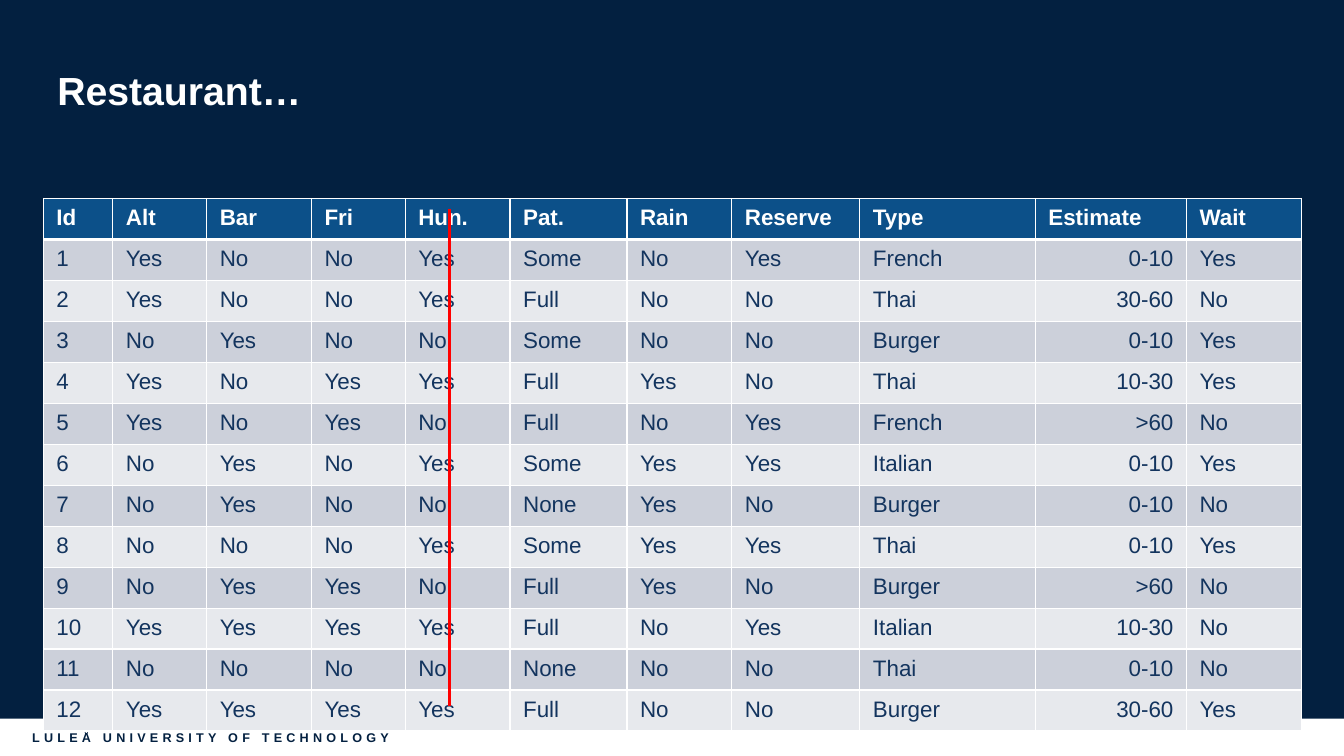
from lxml import etree
from pptx import Presentation
from pptx.dml.color import RGBColor
from pptx.enum.shapes import MSO_CONNECTOR, MSO_SHAPE
from pptx.enum.text import MSO_ANCHOR, PP_ALIGN
from pptx.oxml.ns import qn
from pptx.util import Inches, Pt

TITLE = "Restaurant…"
FOOTER = "LULEÅ UNIVERSITY OF TECHNOLOGY"
HEADERS = ["Id", "Alt", "Bar", "Fri", "Hun.", "Pat.", "Rain", "Reserve", "Type", "Estimate", "Wait"]
EXAMPLES = [
    ("1", "Yes", "No", "No", "Yes", "Some", "No", "Yes", "French", "0-10", "Yes"),
    ("2", "Yes", "No", "No", "Yes", "Full", "No", "No", "Thai", "30-60", "No"),
    ("3", "No", "Yes", "No", "No", "Some", "No", "No", "Burger", "0-10", "Yes"),
    ("4", "Yes", "No", "Yes", "Yes", "Full", "Yes", "No", "Thai", "10-30", "Yes"),
    ("5", "Yes", "No", "Yes", "No", "Full", "No", "Yes", "French", ">60", "No"),
    ("6", "No", "Yes", "No", "Yes", "Some", "Yes", "Yes", "Italian", "0-10", "Yes"),
    ("7", "No", "Yes", "No", "No", "None", "Yes", "No", "Burger", "0-10", "No"),
    ("8", "No", "No", "No", "Yes", "Some", "Yes", "Yes", "Thai", "0-10", "Yes"),
    ("9", "No", "Yes", "Yes", "No", "Full", "Yes", "No", "Burger", ">60", "No"),
    ("10", "Yes", "Yes", "Yes", "Yes", "Full", "No", "Yes", "Italian", "10-30", "No"),
    ("11", "No", "No", "No", "No", "None", "No", "No", "Thai", "0-10", "No"),
    ("12", "Yes", "Yes", "Yes", "Yes", "Full", "No", "No", "Burger", "30-60", "Yes"),
]
COLUMN_WIDTHS = [0.69, 0.93, 1.04, 0.93, 1.04, 1.16, 1.04, 1.27, 1.74, 1.5, 1.14]
ROW_HEIGHT = 0.4
TABLE_LEFT, TABLE_TOP = 0.43, 1.97
WIDTH, HEIGHT = 13.33, 7.5
FOOTER_HEIGHT = 0.37
NAVY, WHITE, INK, RED = "032040", "FFFFFF", "13345E", "FF0000"
HEADER_FILL, BAND_FILLS = "0C5089", ("CCD0DA", "E7E9ED")


def rgb(value):
    return RGBColor.from_string(value)


def paint(target, color):
    target.fill.solid()
    target.fill.fore_color.rgb = rgb(color)


def write(frame, text, size=16, color=INK, bold=False, align=PP_ALIGN.LEFT,
          line_spacing=None, tracking=None):
    paragraph = frame.paragraphs[0]
    paragraph.alignment = align
    if line_spacing:
        paragraph.line_spacing = line_spacing
    run = paragraph.add_run()
    run.text = text
    run.font.name = "Arial"
    run.font.size = Pt(size)
    run.font.bold = bold
    run.font.color.rgb = rgb(color)
    if tracking:
        run.font._element.set("spc", str(tracking * 100))


def set_borders(cell, bottom=1, top=1):
    """Draw white cell edges, ahead of the fill as the schema requires."""
    properties = cell._tc.get_or_add_tcPr()
    for index, (edge, points) in enumerate((("lnL", 1), ("lnR", 1), ("lnT", top), ("lnB", bottom))):
        line = etree.Element(qn(f"a:{edge}"), w=str(Pt(points)))
        fill = etree.SubElement(line, qn("a:solidFill"))
        etree.SubElement(fill, qn("a:srgbClr"), val=WHITE)
        properties.insert(index, line)


def add_footer(slide):
    bar = slide.shapes.add_shape(MSO_SHAPE.RECTANGLE, 0, Inches(HEIGHT - FOOTER_HEIGHT),
                                 Inches(WIDTH), Inches(FOOTER_HEIGHT))
    bar.shadow.inherit = False
    paint(bar, WHITE)
    bar.line.fill.background()
    frame = bar.text_frame
    frame.margin_left = Inches(0.32)
    frame.vertical_anchor = MSO_ANCHOR.MIDDLE
    write(frame, FOOTER, size=9, color=NAVY, bold=True, tracking=3)


def add_title(slide):
    frame = slide.shapes.add_textbox(Inches(0.47), Inches(0.26), Inches(12.39), Inches(1.32)).text_frame
    frame.word_wrap = True
    frame.vertical_anchor = MSO_ANCHOR.MIDDLE
    write(frame, TITLE, size=28, color=WHITE, bold=True, line_spacing=0.9)


def add_examples(slide):
    rows = [HEADERS, *EXAMPLES]
    table = slide.shapes.add_table(len(rows), len(HEADERS), Inches(TABLE_LEFT), Inches(TABLE_TOP),
                                   Inches(sum(COLUMN_WIDTHS)), Inches(ROW_HEIGHT * len(rows))).table
    for column, width in zip(table.columns, COLUMN_WIDTHS):
        column.width = Inches(width)
    for r, values in enumerate(rows):
        table.rows[r].height = Inches(ROW_HEIGHT)
        is_header = r == 0
        for c, value in enumerate(values):
            cell = table.cell(r, c)
            cell.margin_left = cell.margin_right = Inches(0.13)
            cell.margin_top = cell.margin_bottom = Inches(0.07)
            paint(cell, HEADER_FILL if is_header else BAND_FILLS[(r - 1) % 2])
            set_borders(cell, bottom=3 if is_header else 1, top=3 if r == 1 else 1)
            is_range = HEADERS[c] == "Estimate" and not is_header
            write(cell.text_frame, value, color=WHITE if is_header else INK, bold=is_header,
                  align=PP_ALIGN.RIGHT if is_range else PP_ALIGN.LEFT)


def add_hungry_strike(slide):
    x = Inches(4.46)
    strike = slide.shapes.add_connector(MSO_CONNECTOR.STRAIGHT, x, Inches(2.07), x, Inches(7))
    strike.line.color.rgb = rgb(RED)
    strike.line.width = Pt(2)
    etree.SubElement(strike._element.spPr, qn("a:effectLst"))


def main():
    deck = Presentation()
    deck.slide_width, deck.slide_height = Inches(WIDTH), Inches(HEIGHT)
    slide = deck.slides.add_slide(deck.slide_layouts[6])
    paint(slide.background, NAVY)
    add_footer(slide)
    add_title(slide)
    add_examples(slide)
    add_hungry_strike(slide)
    deck.save("out.pptx")


if __name__ == "__main__":
    main()
